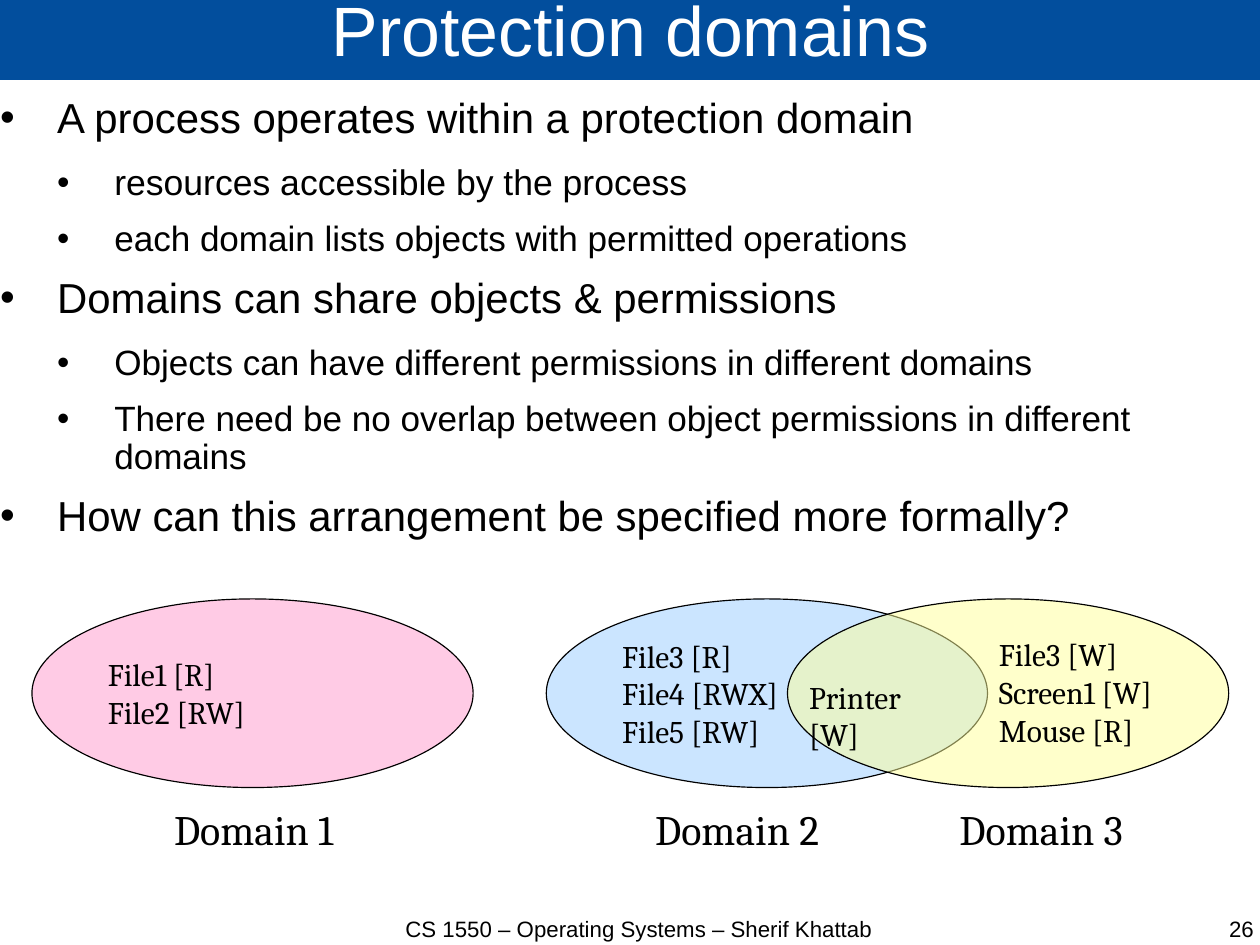
from dataclasses import dataclass

from lxml import etree
from pptx import Presentation
from pptx.dml import color
from pptx.enum import shapes, text
from pptx.oxml import ns
from pptx.util import Inches, Pt

COLOURS = {
    "banner": "024E9D",
    "white": "FFFFFF",
    "black": "000000",
    "pink": "FF99CC",
    "blue": "99CCFF",
    "yellow": "FFFF99",
}
LEFT, CENTRE, RIGHT = text.PP_ALIGN.LEFT, text.PP_ALIGN.CENTER, text.PP_ALIGN.RIGHT
CM_PER_INCH = 2.54
PAGE_WIDTH, PAGE_HEIGHT = 28 / CM_PER_INCH, 21 / CM_PER_INCH
DOMAIN_TOP, DOMAIN_WIDTH, DOMAIN_HEIGHT = 5.24, 3.86, 1.65


@dataclass
class Bullet:
    words: str
    size: float
    level: int = 0


@dataclass
class Domain:
    left: float
    colour: str
    words: str = ""


@dataclass
class Label:
    words: str
    left: float
    top: float
    width: float
    height: float
    size: float = 19.8
    font: str = "Cambria"
    align: text.PP_ALIGN = LEFT
    padded: bool = True


BULLETS = [
    Bullet("A process operates within a protection domain", 26.4),
    Bullet("resources accessible by the process", 22.4, 1),
    Bullet("each domain lists objects with permitted operations", 22.1, 1),
    Bullet("Domains can share objects & permissions", 26.4),
    Bullet("Objects can have different permissions in different domains", 22.1, 1),
    Bullet("There need be no overlap between object permissions in different domains", 22.1, 1),
    Bullet("How can this arrangement be specified more formally?", 26.4),
]
DOMAINS = [
    Domain(0.28, "pink", "File1 [R]\nFile2 [RW]"),
    Domain(4.78, "blue", "File3 [R]\nFile4 [RWX]\nFile5 [RW]"),
    Domain(6.89, "yellow"),
]
LABELS = [
    Label("CS 1550 – Operating Systems – Sherif Khattab", 3.07, 8.01, 5.04, 0.55,
          14, "Arial", CENTRE, False),
    Label("26", 8.44, 8.01, 2.53, 0.55, 14, "Arial", RIGHT, False),
    Label("File3 [W]\nScreen1 [W]\nMouse [R]", 8.64, 5.51, 1.61, 1.1),
    Label("Printer [W]", 6.98, 5.88, 1.48, 0.43),
] + [
    Label(f"Domain {number}", left, 6.98, 1.68, 0.55, 26.4, align=CENTRE)
    for number, left in enumerate((1.38, 5.61, 8.27), start=1)
]


def rgb(name: str) -> color.RGBColor:
    return color.RGBColor.from_string(COLOURS[name])


def place(shape, left: float, top: float, width: float, height: float) -> None:
    shape.left, shape.top = Inches(left), Inches(top)
    shape.width, shape.height = Inches(width), Inches(height)


def clear_insets(frame) -> None:
    frame.margin_left = frame.margin_right = frame.margin_top = frame.margin_bottom = 0


def style_paragraph(para, size: float, font: str, colour: str = "black",
                    align: text.PP_ALIGN = LEFT) -> None:
    para.alignment = align
    for span in para.runs:
        span.font.size = Pt(size)
        span.font.name = font
        span.font.color.rgb = rgb(colour)


def fill_frame(frame, words: str, size: float, font: str, colour: str = "black",
               align: text.PP_ALIGN = LEFT) -> None:
    frame.word_wrap = True
    frame.auto_size = text.MSO_AUTO_SIZE.NONE
    frame.text = words
    for para in frame.paragraphs:
        style_paragraph(para, size, font, colour, align)


def add_bullet_mark(para, level: int) -> None:
    props = para._p.get_or_add_pPr()
    props.set("marL", str(Inches(0.5 * (level + 1))))
    props.set("indent", str(Inches(-0.5)))
    mark_colour = etree.SubElement(props, ns.qn("a:buClr"))
    etree.SubElement(mark_colour, ns.qn("a:srgbClr"), val=COLOURS["black"])
    etree.SubElement(props, ns.qn("a:buFont"), typeface="Arial")
    etree.SubElement(props, ns.qn("a:buChar"), char="•")


def draw_title(page) -> None:
    title = page.shapes.title
    place(title, 0, -0.02, 11.04, 0.72)
    title.fill.solid()
    title.fill.fore_color.rgb = rgb("banner")
    frame = title.text_frame
    clear_insets(frame)
    frame.vertical_anchor = text.MSO_ANCHOR.MIDDLE
    fill_frame(frame, "Protection domains", 44, "Arial", "white", CENTRE)
    frame.paragraphs[0].line_spacing = 0.69


def draw_bullets(page, bullets: list[Bullet]) -> None:
    body = page.placeholders[1]
    place(body, 0, 0.85, 11.04, 7.12)
    frame = body.text_frame
    clear_insets(frame)
    frame.word_wrap = True
    frame.auto_size = text.MSO_AUTO_SIZE.NONE
    frame.text = "\n".join(bullet.words for bullet in bullets)
    for para, bullet in zip(frame.paragraphs, bullets):
        para.level = bullet.level
        para.line_spacing = 0.9
        para.space_before = Pt(0)
        para.space_after = Pt(11.4 if bullet.level else 14.2)
        style_paragraph(para, bullet.size, "Arial")
        add_bullet_mark(para, bullet.level)


def draw_domain(page, domain: Domain) -> None:
    oval = page.shapes.add_shape(
        shapes.MSO_SHAPE.OVAL, Inches(domain.left), Inches(DOMAIN_TOP),
        Inches(DOMAIN_WIDTH), Inches(DOMAIN_HEIGHT))
    oval.shadow.inherit = False
    oval.fill.solid()
    oval.fill.fore_color.rgb = rgb(domain.colour)
    tint = oval._element.spPr.find(f"{ns.qn('a:solidFill')}/{ns.qn('a:srgbClr')}")
    etree.SubElement(tint, ns.qn("a:alpha"), val="50000")
    oval.line.color.rgb = rgb("black")
    oval.line.width = Pt(0.75)
    if domain.words:
        oval.text_frame.vertical_anchor = text.MSO_ANCHOR.MIDDLE
        fill_frame(oval.text_frame, domain.words, 19.8, "Cambria")


def draw_label(page, label: Label) -> None:
    box = page.shapes.add_textbox(
        Inches(label.left), Inches(label.top), Inches(label.width), Inches(label.height))
    if not label.padded:
        clear_insets(box.text_frame)
    fill_frame(box.text_frame, label.words, label.size, label.font, align=label.align)


def main() -> None:
    deck = Presentation()
    deck.slide_width, deck.slide_height = Inches(PAGE_WIDTH), Inches(PAGE_HEIGHT)
    page = deck.slides.add_slide(deck.slide_layouts[1])
    draw_title(page)
    draw_bullets(page, BULLETS)
    for domain in DOMAINS:
        draw_domain(page, domain)
    for label in LABELS:
        draw_label(page, label)
    deck.save("out.pptx")


if __name__ == "__main__":
    main()
